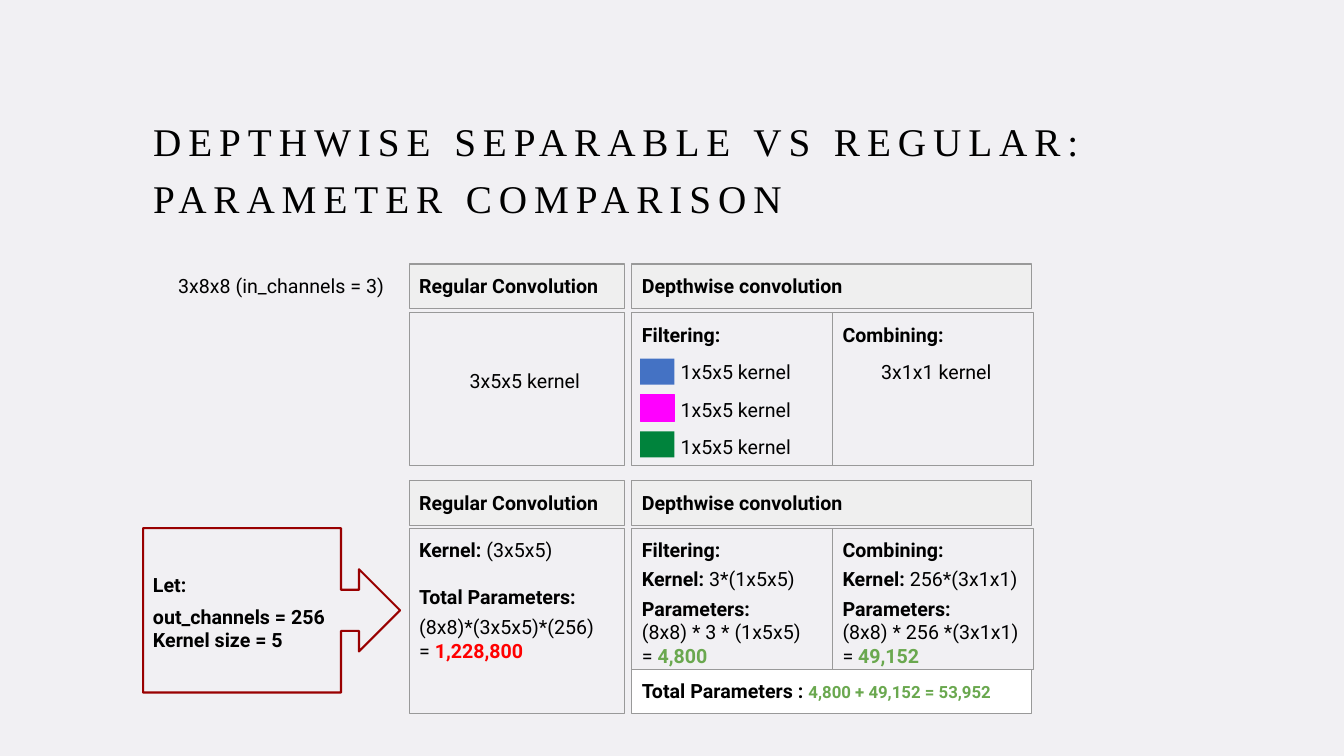
from pptx import Presentation
from pptx.dml.color import RGBColor
from pptx.enum import shapes, text
from pptx.util import Pt

THEME = {
    "backdrop": "F1F0F3", "header": "EFEFEF", "total": "FFFFFF",
    "border": "999999", "callout": "990000",
    "swatches": [("4472C4", None), ("FF00FF", "FF00FF"), ("00833C", None)],
    "thin": 0.75, "thick": 1.5, "body": "Roboto",
    "title": {"name": "Times New Roman", "size": 28, "bold": False, "color": "000000"},
    "plain": {"size": 14, "bold": False, "color": "000000"},
    "strong": {"size": 14, "bold": True, "color": "000000"},
    "high": {"size": 14, "bold": True, "color": "FF0000"},
    "low": {"size": 14, "bold": True, "color": "6AA84F"},
    "sum": {"size": 12, "bold": True, "color": "6AA84F"},
}

TITLE = "DEPTHWISE SEPARABLE VS REGULAR: PARAMETER COMPARISON"
INPUT = "3x8x8 (in_channels = 3)"
REGULAR, DEPTHWISE = "Regular Convolution", "Depthwise convolution"
REGULAR_KERNEL = "3x5x5 kernel"
STAGE_KERNELS = [("Filtering:", ["1x5x5 kernel"] * 3), ("Combining:", ["3x1x1 kernel"])]
STAGE_COUNTS = [
    ("Filtering:", "3*(1x5x5)", "(8x8) * 3 * (1x5x5)", "4,800"),
    ("Combining:", "256*(3x1x1)", "(8x8) * 256 *(3x1x1)", "49,152"),
]
REGULAR_COUNT = [
    (0, [("Kernel: ", "strong"), ("(3x5x5)", "plain")]),
    (16.4, [("Total Parameters:", "strong")]),
    (5, [("(8x8)*(3x5x5)*(256)", "plain")]),
    (0, [("= ", "plain"), ("1,228,800", "high")]),
]
TOTAL = [(0, [("Total Parameters : ", "strong"), ("4,800 + 49,152 = 53,952", "sum")])]
ASSUMPTIONS = [
    (0, [("Let:", "strong")]),
    (6, [("out_channels = 256 Kernel size = 5", "strong")]),
]

INSET = 7.2
LEFT, REGULAR_X, DEPTHWISE_X = 102.2, 292.3, 451.4
REGULAR_W, DEPTHWISE_W, STAGE_W = 154.1, 285.4, 143.3
KERNEL_Y, COUNT_Y, HEADER_H = 188.6, 343.4, 31.7
KERNEL_BODY_Y, KERNEL_BODY_H = 223.2, 109.4
COUNT_BODY_Y, COUNT_BODY_H, STAGE_H = 377.3, 132.5, 100.8
SWATCH_X, SWATCH_Y, SWATCH_W, SWATCH_H, SWATCH_STEP = 457.2, 256.1, 24.5, 18.7, 26


def one_line(words, style):
    return [(0, [(words, style)])]


def style_run(run, style):
    for key, value in {"name": THEME["body"], **THEME[style]}.items():
        if key == "color":
            run.font.color.rgb = RGBColor.from_string(value)
        else:
            setattr(run.font, key, Pt(value) if key == "size" else value)


def write(shape, paragraphs, indent=0, left=INSET, top=INSET):
    frame = shape.text_frame
    settings = {
        "word_wrap": True, "vertical_anchor": text.MSO_ANCHOR.TOP,
        "margin_left": Pt(left), "margin_right": Pt(INSET),
        "margin_top": Pt(top), "margin_bottom": Pt(INSET),
    }
    for key, value in settings.items():
        setattr(frame, key, value)
    for index, (before, runs) in enumerate(paragraphs):
        paragraph = frame.add_paragraph() if index else frame.paragraphs[0]
        paragraph.alignment = text.PP_ALIGN.LEFT
        if index:
            paragraph.space_before = Pt(before)
            if indent:
                paragraph._p.get_or_add_pPr().set("marL", str(Pt(indent)))
        for words, style in runs:
            run = paragraph.add_run()
            run.text = words
            style_run(run, style)


def draw(slide, box, fill=None, border=THEME["border"], weight=THEME["thin"],
         kind=shapes.MSO_SHAPE.RECTANGLE):
    shape = slide.shapes.add_shape(kind, *map(Pt, box))
    shape.shadow.inherit = False
    if fill:
        shape.fill.solid()
        shape.fill.fore_color.rgb = RGBColor.from_string(fill)
    else:
        shape.fill.background()
    if border:
        shape.line.color.rgb = RGBColor.from_string(border)
        shape.line.width = Pt(weight)
    else:
        shape.line.fill.background()
    return shape


def label(slide, box, paragraphs):
    write(slide.shapes.add_textbox(*map(Pt, box)), paragraphs)


def add_title(slide):
    title = slide.shapes.title
    for key, value in zip(("left", "top", "width", "height"), (LEFT, 66.2, 756, 103)):
        setattr(title, key, Pt(value))
    frame = title.text_frame
    frame.auto_size = text.MSO_AUTO_SIZE.NONE
    frame.vertical_anchor = text.MSO_ANCHOR.MIDDLE
    paragraph = frame.paragraphs[0]
    paragraph.alignment = text.PP_ALIGN.LEFT
    paragraph.line_spacing = 1.2
    run = paragraph.add_run()
    run.text = TITLE
    style_run(run, "title")
    run.font._element.set("spc", "500")


def add_headers(slide):
    for y in (KERNEL_Y, COUNT_Y):
        for words, x, width in ((REGULAR, REGULAR_X, REGULAR_W),
                                (DEPTHWISE, DEPTHWISE_X, DEPTHWISE_W)):
            header = draw(slide, (x, y, width, HEADER_H), THEME["header"])
            write(header, one_line(words, "strong"))


def add_kernels(slide):
    regular = draw(slide, (REGULAR_X, KERNEL_BODY_Y, REGULAR_W, KERNEL_BODY_H))
    write(regular, one_line(REGULAR_KERNEL, "plain"), left=INSET + 36, top=INSET + 32.8)
    for column, (stage, kernels) in enumerate(STAGE_KERNELS):
        x = DEPTHWISE_X + column * STAGE_W
        panel = draw(slide, (x, KERNEL_BODY_Y, STAGE_W, KERNEL_BODY_H))
        rows = [(10, [(kernel, "plain")]) for kernel in kernels]
        write(panel, one_line(stage, "strong") + rows, indent=27.6)
    for index, (fill, border) in enumerate(THEME["swatches"]):
        y = SWATCH_Y + index * SWATCH_STEP
        draw(slide, (SWATCH_X, y, SWATCH_W, SWATCH_H), fill, border)


def add_counts(slide):
    regular = draw(slide, (REGULAR_X, COUNT_BODY_Y, REGULAR_W, COUNT_BODY_H))
    write(regular, REGULAR_COUNT)
    for column, (stage, kernel, product, count) in enumerate(STAGE_COUNTS):
        x = DEPTHWISE_X + column * STAGE_W
        panel = draw(slide, (x, COUNT_BODY_Y, STAGE_W, STAGE_H))
        write(panel, one_line(stage, "strong") + [
            (4, [("Kernel: ", "strong"), (kernel, "plain")]),
            (4, [("Parameters:", "strong")]),
            (0, [(product, "plain")]),
            (0, [("= ", "plain"), (count, "low")]),
        ])
    total = draw(slide, (DEPTHWISE_X, COUNT_BODY_Y + STAGE_H, DEPTHWISE_W, HEADER_H),
                 THEME["total"])
    write(total, TOTAL)


def add_assumptions(slide):
    callout = draw(slide, (LEFT, COUNT_BODY_Y, 183.6, 117.4), None, THEME["callout"],
                   THEME["thick"], shapes.MSO_SHAPE.RIGHT_ARROW_CALLOUT)
    for index, value in enumerate((0.25, 0.25, 0.25, 0.77)):
        callout.adjustments[index] = value
    label(slide, (LEFT, 401.8, 148.3, 71.3), ASSUMPTIONS)


def main():
    deck = Presentation()
    deck.slide_width, deck.slide_height = Pt(960), Pt(540)
    slide = deck.slides.add_slide(deck.slide_layouts[5])
    slide.background.fill.solid()
    slide.background.fill.fore_color.rgb = RGBColor.from_string(THEME["backdrop"])
    add_title(slide)
    label(slide, (120.2, KERNEL_Y, 171.4, HEADER_H), one_line(INPUT, "plain"))
    add_headers(slide)
    add_kernels(slide)
    add_counts(slide)
    add_assumptions(slide)
    deck.save("out.pptx")


if __name__ == "__main__":
    main()
